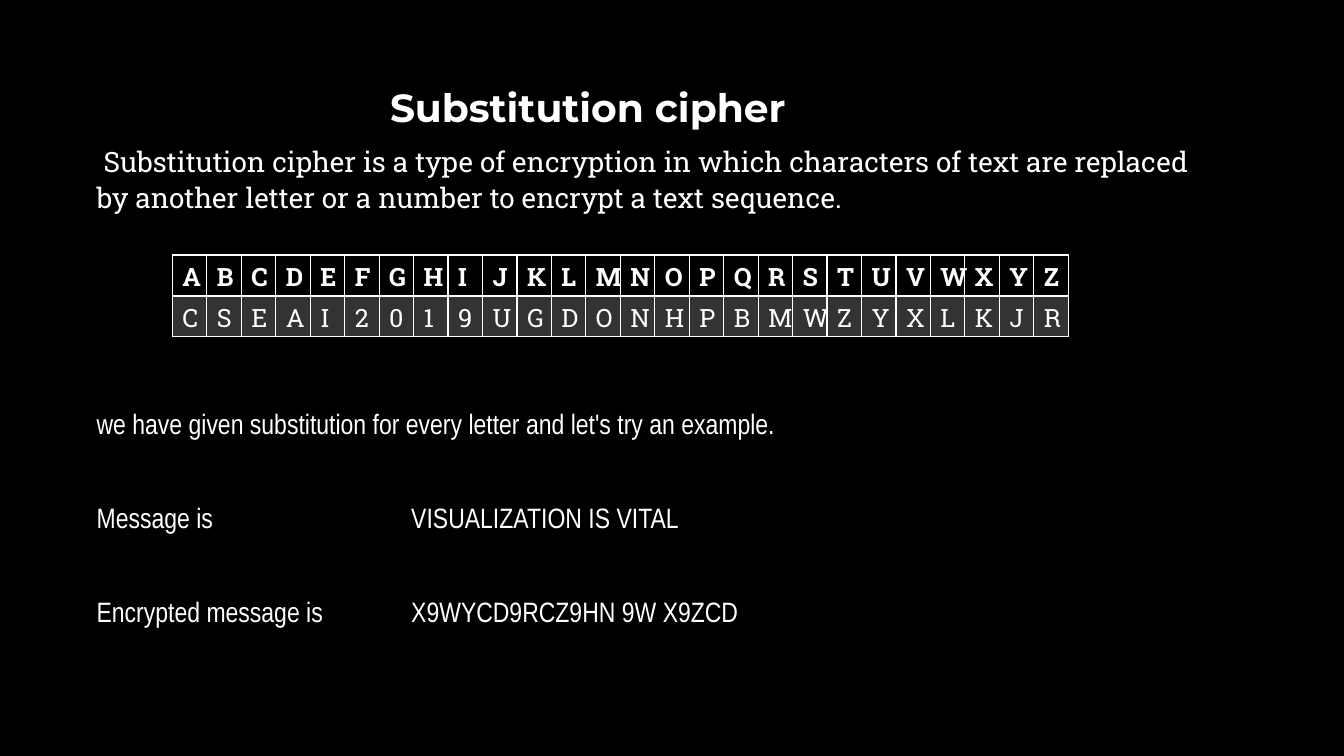
"""Build a slide that explains the substitution cipher with a letter table."""
from lxml import etree
from pptx import Presentation
from pptx.dml.color import RGBColor
from pptx.enum.text import MSO_ANCHOR
from pptx.oxml.ns import qn
from pptx.util import Inches, Pt

TOP = MSO_ANCHOR.TOP
COLORS = {"background": "000000", "ink": "FFFFFF"}
SLIDE_SIZE = (13.33, 7.5)

PLAIN_LETTERS = "ABCDEFGHIJKLMNOPQRSTUVWXYZ"
CIPHER_LETTERS = "CSEAI2019UGDONHPBMWZYXLKJR"
TITLE = "Substitution cipher"
DEFINITION = (
    "Substitution cipher is a type of encryption in which characters of text are "
    "replaced by another letter or a number to encrypt a text sequence."
)
EXAMPLE = [
    "we have given substitution for every letter and let's try an example.",
    "Message is\tVISUALIZATION IS VITAL",
    "Encrypted message is\tX9WYCD9RCZ9HN 9W X9ZCD",
]

FONTS = {
    "title": {"name": "Montserrat", "size": Pt(28), "bold": True},
    "definition": {"name": "Roboto Slab", "size": Pt(20), "bold": False},
    "example": {"name": "Arial Narrow", "size": Pt(20), "bold": False},
    "plain": {"name": "Roboto Slab", "size": Pt(18), "bold": True},
    "cipher": {"name": "Roboto Slab", "size": Pt(18), "bold": False},
}
TITLE_INDENT = 2.91
DEFINITION_INDENT = 0.07
EXAMPLE_TAB = 3.12
INTRO_BOX = (0.86, 0.74, 11.32, 5.72)
EXAMPLE_BOX = (0.86, 3.96, 8.51, 2.33)
TABLE_BOX = (1.71, 2.53, 8.89, 0.81)
TABLE_ROWS = [
    {"letters": PLAIN_LETTERS, "font": "plain", "bottom": 2, "opacity": 0},
    {"letters": CIPHER_LETTERS, "font": "cipher", "bottom": 1, "opacity": 20},
]


def color(name):
    return RGBColor.from_string(COLORS[name])


def write(paragraph, text, font_name, **spacing):
    run = paragraph.add_run()
    run.text = text
    for key, value in FONTS[font_name].items():
        setattr(run.font, key, value)
    run.font.color.rgb = color("ink")
    for key, value in spacing.items():
        setattr(paragraph, key, value)


def add_text(slide, box, items):
    frame = slide.shapes.add_textbox(*map(Inches, box)).text_frame
    frame.word_wrap = True
    frame.vertical_anchor = TOP
    for index, (text, font_name, indents, spacing) in enumerate(items):
        paragraph = frame.add_paragraph() if index else frame.paragraphs[0]
        properties = paragraph._p.get_or_add_pPr()
        for key, value in indents.items():
            properties.set(key, str(Inches(value)))
        if "\t" in text:
            tabs = etree.SubElement(properties, qn("a:tabLst"))
            etree.SubElement(tabs, qn("a:tab"), pos=str(Inches(EXAMPLE_TAB)), algn="l")
        write(paragraph, text, font_name, **spacing)


def add_solid(parent, name):
    solid = etree.SubElement(parent, qn("a:solidFill"))
    return etree.SubElement(solid, qn("a:srgbClr"), val=COLORS[name])


def style_cell(cell, row):
    properties = cell._tc.get_or_add_tcPr()
    for side, width in {"L": 1, "R": 1, "T": 1, "B": row["bottom"]}.items():
        line = etree.SubElement(properties, qn(f"a:ln{side}"), w=str(Pt(width)))
        add_solid(line, "ink")
    if row["opacity"]:
        fill = add_solid(properties, "ink")
        etree.SubElement(fill, qn("a:alpha"), val=str(row["opacity"] * 1000))
    else:
        cell.fill.background()


def add_cipher_table(slide):
    columns = len(PLAIN_LETTERS)
    table = slide.shapes.add_table(
        len(TABLE_ROWS), columns, *map(Inches, TABLE_BOX)
    ).table
    table.first_row = table.horz_banding = False
    for column in table.columns:
        column.width = Inches(TABLE_BOX[2] / columns)
    for row_index, row in enumerate(TABLE_ROWS):
        for column_index, letter in enumerate(row["letters"]):
            cell = table.cell(row_index, column_index)
            write(cell.text_frame.paragraphs[0], letter, row["font"])
            style_cell(cell, row)


def main():
    presentation = Presentation()
    presentation.slide_width, presentation.slide_height = map(Inches, SLIDE_SIZE)
    slide = presentation.slides.add_slide(presentation.slide_layouts[6])
    slide.background.fill.solid()
    slide.background.fill.fore_color.rgb = color("background")
    add_text(slide, INTRO_BOX, [
        (TITLE, "title", {"marL": TITLE_INDENT}, {"line_spacing": 1.08}),
        (DEFINITION, "definition", {"indent": DEFINITION_INDENT},
         {"line_spacing": 1.08, "space_before": Pt(8)}),
    ])
    example_spacing = {"line_spacing": 1.07, "space_after": Pt(41.6)}
    add_text(slide, EXAMPLE_BOX,
             [(text, "example", {}, example_spacing) for text in EXAMPLE])
    add_cipher_table(slide)
    presentation.save("out.pptx")


if __name__ == "__main__":
    main()
